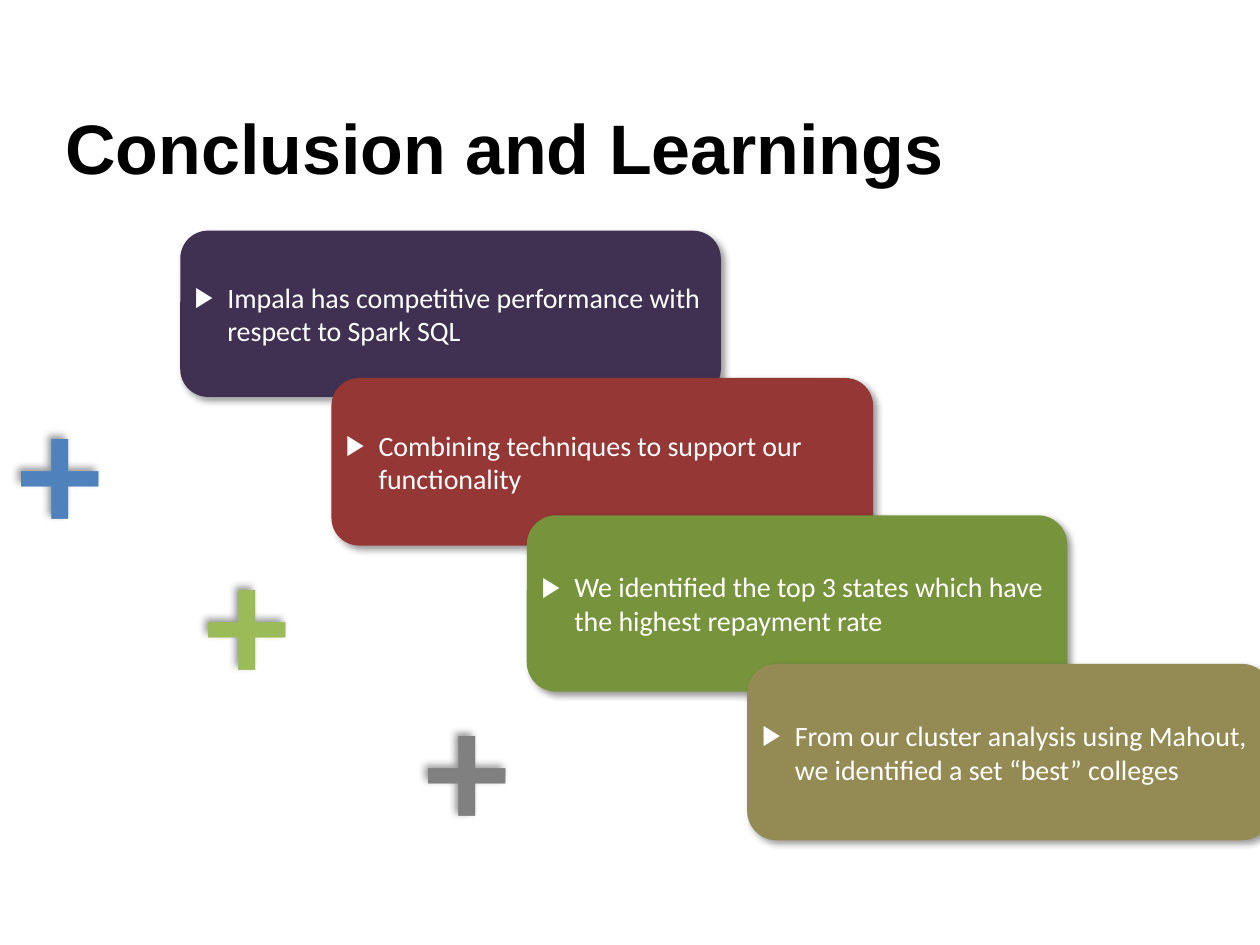
import pptx
import pptx.util
import pptx.dml.color
import pptx.enum.shapes
import pptx.enum.text
import pptx.oxml
import pptx.oxml.ns

Pt = pptx.util.Pt
RGB = pptx.dml.color.RGBColor
MIDDLE = pptx.enum.text.MSO_ANCHOR.MIDDLE
LEFT = pptx.enum.text.PP_ALIGN.LEFT
AUTO = pptx.enum.text.MSO_AUTO_SIZE

BLACK, WHITE = RGB(0, 0, 0), RGB(255, 255, 255)
PURPLE, RED = RGB(0x40, 0x31, 0x52), RGB(0x95, 0x37, 0x35)
GREEN, KHAKI = RGB(0x77, 0x93, 0x3C), RGB(0x94, 0x8A, 0x54)
BLUE, LIME, GRAY = RGB(0x4F, 0x81, 0xBD), RGB(0x9B, 0xBB, 0x59), RGB(0x80, 0x80, 0x80)


def write(p, text, color, **font):
    r = p.add_run()
    r.text = text
    r.font.color.rgb = color
    for name, value in font.items():
        setattr(r.font, name, value)


def add_shadow(s, degrees):
    s.shadow.inherit = False
    effects = s._element.spPr.find(pptx.oxml.ns.qn("a:effectLst"))
    effects.append(pptx.oxml.parse_xml(
        f'<a:outerShdw {pptx.oxml.ns.nsdecls("a")} blurRad="{Pt(4)}" dist="{Pt(3)}" '
        f'dir="{degrees * 60000}" algn="tl" rotWithShape="0">'
        '<a:srgbClr val="000000"><a:alpha val="40000"/></a:srgbClr></a:outerShdw>'))


prs = pptx.Presentation()
prs.slide_width, prs.slide_height = Pt(720), Pt(540)
slide = prs.slides.add_slide(prs.slide_layouts[5])

title = slide.shapes.title
title.left, title.top, title.width, title.height = Pt(30.2), Pt(41.8), Pt(606.2), Pt(84.2)
tf = title.text_frame
tf.vertical_anchor = MIDDLE
tf.auto_size = AUTO.NONE
p = tf.paragraphs[0]
p.alignment = LEFT
write(p, "Conclusion and Learnings", BLACK, name="Arial", size=Pt(40), bold=True)

pluses = [(3.6, 204.5, BLUE), (110.2, 290.9, LIME), (236.2, 374.4, GRAY)]
for x, y, color in pluses:
    s = slide.shapes.add_textbox(Pt(x), Pt(y), Pt(293.8), Pt(123.8))
    tf = s.text_frame
    tf.word_wrap = True
    tf.auto_size = AUTO.SHAPE_TO_FIT_TEXT
    write(tf.paragraphs[0], "+", color, name="Calibri", size=Pt(96), bold=True)
    add_shadow(s, 225)

cards = [
    (103, 131.8, 308.9, 95, PURPLE,
     "Impala has competitive performance with respect to Spark SQL"),
    (189.4, 216, 309.6, 95.8, RED,
     "Combining techniques to support our functionality"),
    (301, 294.5, 308.9, 100.8, GREEN,
     "We identified the top 3 states which have the highest repayment rate"),
    (427, 379.4, 299.5, 100.8, KHAKI,
     "From our cluster analysis using Mahout, we identified a set “best” colleges"),
]
for x, y, w, h, color, text in cards:
    s = slide.shapes.add_shape(pptx.enum.shapes.MSO_SHAPE.ROUNDED_RECTANGLE,
                               Pt(x), Pt(y), Pt(w), Pt(h))
    s.fill.solid()
    s.fill.fore_color.rgb = color
    s.line.fill.background()
    add_shadow(s, 45)
    tf = s.text_frame
    tf.word_wrap = True
    tf.vertical_anchor = MIDDLE
    for side in ("left", "top", "right", "bottom"):
        setattr(tf, f"margin_{side}", Pt(3.6))
    p = tf.paragraphs[0]
    p.alignment = LEFT
    pPr = p._p.get_or_add_pPr()
    pPr.set("marL", str(Pt(18.7)))
    pPr.set("indent", str(-Pt(18.7)))
    for bullet in ('buFont {} typeface="Arial"', 'buChar {} char="▶"'):
        pPr.append(pptx.oxml.parse_xml(
            f'<a:{bullet.format(pptx.oxml.ns.nsdecls("a"))}/>'))
    write(p, text, WHITE, name="Calibri", size=Pt(16))

prs.save("out.pptx")
